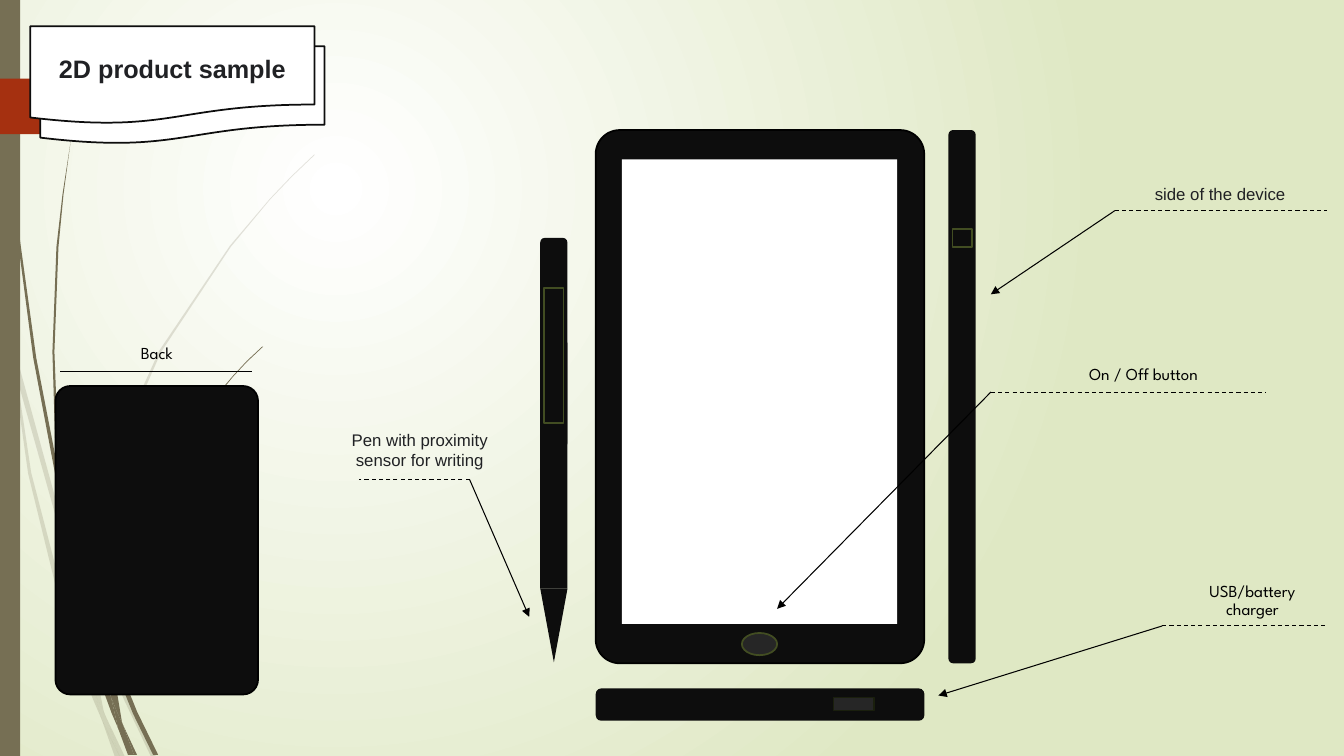
from lxml import etree
from pptx import Presentation
from pptx import util as u
from pptx.dml.color import RGBColor
from pptx.enum import dml, shapes, text
from pptx.oxml.ns import qn

COLORS = {
    "white": "FFFFFF", "sage": "DFE8C4", "olive": "766F54", "red": "A53010",
    "black": "000000", "body": "0D0D0D", "button": "262626",
    "trim": "424D22", "dark_trim": "1A1F0D", "ink": "202124",
}
SHAPE = shapes.MSO_SHAPE

# Outline of each grass blade, points as x,y in inches.
FAINT_BLADES = [
    "0.11,3.5 0.09,3.22 0,2.82 0,2.99 0.1,3.44",
    "0.14,3.45 0.17,3.76 0.58,5.22 0.84,5.99 0.85,5.86 0.62,5.2",
    "0.88,5.96 0.88,6.1 1.23,6.94 1.5,7.51 1.55,7.51 1.27,6.92 0.92,6.07",
    "1.19,7.51 1.24,7.51 1.05,7.11",
    "0.11,3.5 0.28,4.7 0.65,6.21 0.92,6.93 1.01,7.14"
    " 0.99,7.07 0.93,6.83 0.7,6.19 0.31,4.69 0.17,3.76",
    "0.84,5.99 0.87,6.46 0.93,6.83 0.96,6.92 1.05,7.11"
    " 1.03,7.06 0.91,6.46 0.88,6.1 0.88,6.08",
    "0.88,5.96 0.88,5.84 1.1,4.62 1.6,3.49 2.29,2.45 2.68,1.98 2.9,1.75 3.12,1.54"
    " 3.12,1.53 2.89,1.75 2.68,1.97 2.28,2.44 1.58,3.48 1.07,4.61 0.85,5.84 0.85,5.86",
    "1.01,7.14 1.14,7.51 1.19,7.51",
    "0.93,6.83 0.99,7.07 1.01,7.14 1.19,7.51 1.05,7.11 0.96,6.92",
]
SOLID_BLADES = [
    "0.03,0 0.04,0.48 0.07,1.1 0.17,2.33 0.33,3.55 0.56,4.77 0.57,4.81"
    " 0.55,4.57 0.55,4.53 0.36,3.55 0.19,2.32 0.08,1.09 0.05,0.48 0.04,0",
    "1.1,6.41 1.11,6.56 1.32,7.08 1.52,7.49 1.57,7.49 1.36,7.06 1.13,6.49",
    "0.57,4.77 0.68,5.57 0.93,6.59 1.11,7.08 1.17,7.22"
    " 1.16,7.17 1.1,6.91 0.98,6.57 0.72,5.56 0.64,5.05",
    "0.6,4.72 0.58,4.53 0.54,3.49 0.58,2.45 0.63,1.93 0.7,1.41"
    " 0.62,1.93 0.56,2.45 0.52,3.49 0.55,4.49",
    "1.33,7.49 1.36,7.49 1.22,7.19",
    "0.55,4.49 0.55,4.53 0.57,4.77 0.64,5.05 0.6,4.72",
    "1.1,6.41 1.11,6.33 1.25,5.52 1.58,4.76 2.05,4.06 2.31,3.74 2.45,3.59 2.61,3.44"
    " 2.6,3.44 2.45,3.58 2.31,3.73 2.04,4.05 1.56,4.74 1.22,5.51 1.06,6.31",
    "1.17,7.22 1.27,7.49 1.31,7.49",
    "1.06,6.45 1.1,6.91 1.16,7.06 1.22,7.19 1.21,7.16 1.11,6.56 1.09,6.51",
    "1.1,6.91 1.16,7.17 1.17,7.22 1.3,7.49 1.33,7.49 1.22,7.19 1.16,7.06",
]


class SlideBuilder:
    def __init__(self, slide):
        self.slide = slide

    def color(self, name):
        return RGBColor.from_string(COLORS[name])

    def paint(self, shape, fill, line=None):
        shape.shadow.inherit = False
        shape.fill.solid()
        shape.fill.fore_color.rgb = self.color(fill)
        if line:
            shape.line.color.rgb = self.color(line)
            shape.line.width = u.Pt(1.25)
        else:
            shape.line.fill.background()

    def radial_background(self, inner, outer):
        fill = self.slide.background.fill
        fill.gradient()
        for stop, name, position in zip(fill.gradient_stops, (inner, outer), (0, 1)):
            stop.color.rgb = self.color(name)
            stop.position = position
        gradient = next(self.slide.element.iter(qn("a:gradFill")))
        gradient.remove(gradient.find(qn("a:lin")))
        path = etree.SubElement(gradient, qn("a:path"), path="circle")
        etree.SubElement(path, qn("a:fillToRect"), l="50000", t="50000", r="100000", b="100000")

    def blades(self, outlines, alpha=None):
        group = self.slide.shapes.add_group_shape()
        for outline in outlines:
            points = [tuple(u.Inches(float(value)) for value in pair.split(","))
                      for pair in outline.split()]
            builder = group.shapes.build_freeform(*points[0])
            builder.add_line_segments(points[1:], close=True)
            blade = builder.convert_to_shape()
            self.paint(blade, "olive")
            if alpha:
                color = blade.element.spPr.find(qn("a:solidFill"))[0]
                etree.SubElement(color, qn("a:alpha"), val=str(alpha * 1000))

    def shape(self, kind, left, top, width, height, fill, line=None, corner=None, rotation=0):
        shape = self.slide.shapes.add_shape(kind, *map(u.Inches, (left, top, width, height)))
        self.paint(shape, fill, line)
        shape.rotation = rotation
        if corner is not None:
            shape.adjustments[0] = corner

    def line(self, start, end, dashed=False, arrow=False):
        connector = self.slide.shapes.add_connector(
            shapes.MSO_CONNECTOR.STRAIGHT, *map(u.Inches, (*start, *end)))
        connector.line.color.rgb = self.color("black")
        connector.line.width = u.Pt(0.75)
        properties = connector.element.spPr
        if dashed:
            connector.line.dash_style = dml.MSO_LINE.DASH
        if arrow:
            etree.SubElement(properties.find(qn("a:ln")), qn("a:tailEnd"), type="triangle")
        etree.SubElement(properties, qn("a:effectLst"))

    def callout(self, elbow, target, shelf_end):
        self.line(elbow, target, arrow=True)
        self.line(elbow, (shelf_end, elbow[1]), dashed=True)

    def label(self, wording, left, top, width, height, font="League Spartan", color="black",
              size=12, bold=False, spacing=0.9, drop=0, anchor=text.MSO_ANCHOR.MIDDLE):
        """Add centred text; drop is extra inset above it, in inches."""
        box = self.slide.shapes.add_textbox(*map(u.Inches, (left, top, width, height)))
        frame = box.text_frame
        frame.word_wrap = True
        frame.vertical_anchor = anchor
        frame.margin_top = u.Inches(0.05 + drop)
        paragraph = frame.paragraphs[0]
        paragraph.alignment = text.PP_ALIGN.CENTER
        paragraph.line_spacing = spacing
        run = paragraph.add_run()
        run.text = wording
        run.font.name = font
        run.font.size = u.Pt(size)
        run.font.bold = bold
        run.font.color.rgb = self.color(color)


def main():
    presentation = Presentation()
    presentation.slide_width = u.Inches(40 / 3)
    presentation.slide_height = u.Inches(7.5)
    page = SlideBuilder(presentation.slides.add_slide(presentation.slide_layouts[6]))

    page.radial_background("white", "sage")
    page.blades(FAINT_BLADES, alpha=20)
    page.blades(SOLID_BLADES)
    page.shape(SHAPE.RECTANGLE, 0, 0, 0.2, 7.5, "olive")
    page.shape(SHAPE.PENTAGON, 0, 0.78, 1.74, 0.55, "red")
    page.shape(SHAPE.FLOWCHART_DOCUMENT, 0.4, 0.46, 2.82, 0.97, "white", "body")

    # Tablet front, side and bottom edge
    page.shape(SHAPE.ROUNDED_RECTANGLE, 5.91, 1.29, 3.26, 5.29, "body", "black", corner=0.073)
    page.shape(SHAPE.RECTANGLE, 6.17, 1.58, 2.73, 4.61, "white")
    page.shape(SHAPE.OVAL, 7.36, 6.28, 0.35, 0.22, "button", "trim")
    page.shape(SHAPE.ROUNDED_RECTANGLE, 9.41, 1.29, 0.27, 5.29, "body")
    page.shape(SHAPE.ROUNDED_RECTANGLE, 7.38, 5.36, 0.32, 3.26, "body", rotation=90)
    page.shape(SHAPE.RECTANGLE, 8.27, 6.92, 0.4, 0.13, "button", "dark_trim")

    # Pen
    page.shape(SHAPE.ISOSCELES_TRIANGLE, 5.36, 5.84, 0.27, 0.73, "body", rotation=180)
    page.shape(SHAPE.RECTANGLE, 5.36, 3.4, 0.27, 2.44, "body")
    page.shape(SHAPE.ROUNDED_RECTANGLE, 5.36, 2.36, 0.27, 2.08, "body")

    page.callout((4.66, 4.76), (5.25, 6.12), 3.56)
    page.callout((11.53, 6.21), (9.31, 6.9), 13.17)
    page.callout((11.06, 2.09), (9.83, 2.92), 13.17)
    page.callout((9.83, 3.89), (7.71, 6.04), 12.56)
    page.label("Pen with proximity sensor for writing", 3.26, 4.01, 1.81, 0.58,
               font="Arial", color="ink", spacing=1, drop=0.2, anchor=text.MSO_ANCHOR.TOP)
    page.label("side of the device", 11.2, 1.54, 1.81, 0.58, font="Arial", color="ink", drop=0.2)
    page.label("On / Off button", 10.44, 3.53, 1.81, 0.39)
    page.label("USB/battery charger", 11.68, 5.67, 1.49, 0.58)

    # Title banner and tablet back
    page.shape(SHAPE.FLOWCHART_DOCUMENT, 0.3, 0.26, 2.82, 0.97, "white", "body")
    page.shape(SHAPE.ROUNDED_RECTANGLE, 0.55, 3.83, 2.01, 3.06, "body", "black", corner=0.073)
    page.line((0.6, 3.69), (2.5, 3.69))
    page.label("Back", 0.65, 3.4, 1.81, 0.22)
    page.label("2D product sample", 0.35, 0.31, 2.72, 0.58,
               font="Arial", color="ink", size=18, bold=True, drop=0.2)

    page.shape(SHAPE.RECTANGLE, 9.45, 2.27, 0.19, 0.18, "body", "trim")
    page.shape(SHAPE.RECTANGLE, 5.4, 2.86, 0.19, 1.34, "body", "trim")
    presentation.save("out.pptx")


if __name__ == "__main__":
    main()
